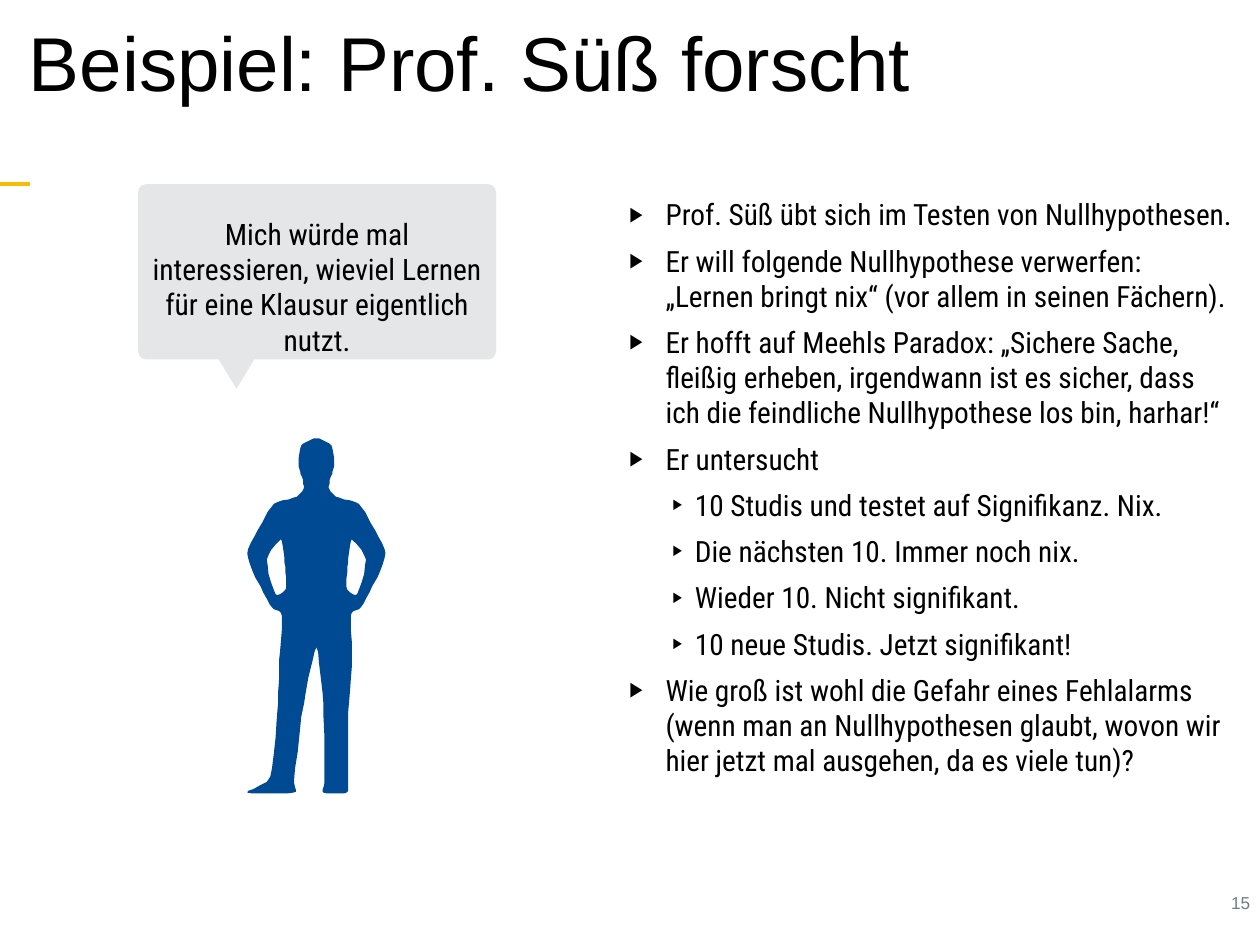
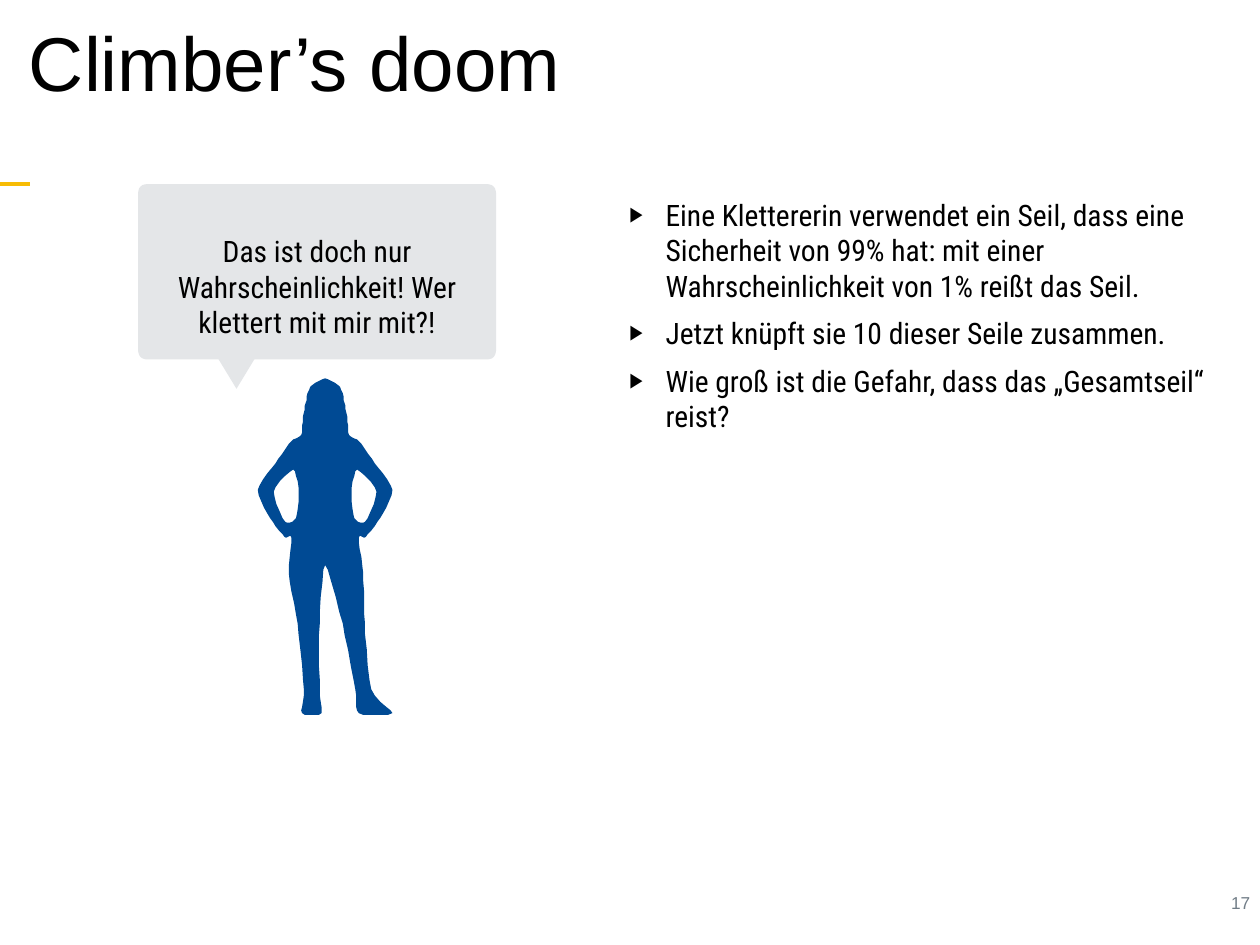
import math
from lxml import etree
from pptx import Presentation
from pptx import util as u
from pptx.dml.color import RGBColor
from pptx.enum import shapes, text
from pptx.oxml import ns

Cm, Pt = u.Cm, u.Pt
COLORS = {"ink": "000000", "accent": "F7BC05", "bubble": "E4E6E8",
          "figure": "004A94", "number": "717D87"}
TITLE_FONT, BODY_FONT = "Arial", "Roboto Condensed"
TITLE_BOX = (0, -0.05, 36.14, 3.94)
NUMBER_BOX = (30, 25.4, 6.02, 0.91)
BODY_BOX = (17.32, 5.28, 18.4, 17.63)
BUBBLE_BOX = (3.96, 5.28, 10.26, 5.87)
LEVELS = [{"left": 1.4, "hang": 1.04, "bullet": 70},
          {"left": 2.24, "hang": 0.64, "bullet": 50}]

FIGURE_UNIT = Cm(2.54) / 100
MAN = {
    "lean": -9, "toes": {-1: 69, 1: 43}, "crown": 0, "crotch": 236, "sole": 404,
    "side": {"temple": (17, 8), "ear": (20, 30), "jaw": (17, 42),
             "neck": (14, 56), "collar": (22, 66), "shoulder": (48, 74),
             "upper arm": (64, 100), "elbow": (78, 130), "forearm": (66, 162),
             "hand": (50, 191), "hip": (39, 200), "thigh": (41, 250),
             "knee": (40, 308), "ankle": (44, 382)},
    "inseam": {"instep": (17, 400), "inner ankle": (17, 384),
               "inner knee": (11, 300)},
    "arm gap": {"armpit": (40, 114), "ribs": (36, 140), "waist": (34, 168),
                "palm": (46, 176), "inner elbow": (56, 137)}}
WOMAN = {
    "lean": 17, "toes": {-1: 43, 1: 59}, "crown": 0, "crotch": 211, "sole": 382,
    "side": {"temple": (17, 10), "cheek": (22, 28), "hair": (25, 46),
             "hair tip": (27, 64), "shoulder": (38, 71), "upper arm": (56, 96),
             "elbow": (76, 126), "forearm": (62, 158), "hand": (46, 179),
             "hip": (38, 180), "thigh": (42, 220), "knee": (38, 277),
             "ankle": (38, 351)},
    "inseam": {"instep": (21, 378), "inner ankle": (20, 351),
               "inner knee": (13, 277)},
    "arm gap": {"armpit": (36, 103), "ribs": (30, 128), "waist": (33, 158),
                "palm": (45, 162), "inner elbow": (58, 128)}}

SLIDES = [
    {"title": "Beispiel: Prof. Süß forscht", "number": "15",
     "figure": MAN, "head": (9.07, 12.57),
     "speech": "Mich würde mal interessieren, wieviel Lernen für eine Klausur "
               "eigentlich nutzt.",
     "size": 23.8, "gap": 9,
     "points": [
         (0, "Prof. Süß übt sich im Testen von Nullhypothesen."),
         (0, "Er will folgende Nullhypothese verwerfen: „Lernen bringt nix“ "
             "(vor allem in seinen Fächern)."),
         (0, "Er hofft auf Meehls Paradox: „Sichere Sache, fleißig erheben, "
             "irgendwann ist es sicher, dass ich die feindliche Nullhypothese "
             "los bin, harhar!“"),
         (0, "Er untersucht"),
         (1, "10 Studis und testet auf Signifikanz. Nix."),
         (1, "Die nächsten 10. Immer noch nix."),
         (1, "Wieder 10. Nicht signifikant."),
         (1, "10 neue Studis. Jetzt signifikant!"),
         (0, "Wie groß ist wohl die Gefahr eines Fehlalarms (wenn man an "
             "Nullhypothesen glaubt, wovon wir hier jetzt mal ausgehen, da es "
             "viele tun)?")]},
    {"title": "Climber’s doom", "number": "17",
     "figure": WOMAN, "head": (9.32, 10.85),
     "speech": "Das ist doch nur Wahrscheinlichkeit! Wer klettert mit mir mit?!",
     "size": 24, "gap": 10,
     "points": [
         (0, "Eine Klettererin verwendet ein Seil, dass eine Sicherheit von 99% "
             "hat: mit einer Wahrscheinlichkeit von 1% reißt das Seil."),
         (0, "Jetzt knüpft sie 10 dieser Seile zusammen."),
         (0, "Wie groß ist die Gefahr, dass das „Gesamtseil“ reist?")]},
]


def rgb(name):
    """Return the named colour."""
    return RGBColor.from_string(COLORS[name])


def assign(target, values):
    """Set every attribute in the dict on the target."""
    for key, value in values.items():
        setattr(target, key, value)


def prepare_frame(frame, inset, anchor):
    """Give a text frame equal insets, wrapping and an anchor."""
    assign(frame, {f"margin_{side}": Cm(inset)
                   for side in ("left", "top", "right", "bottom")})
    assign(frame, {"word_wrap": True, "vertical_anchor": anchor})


def add_frame(slide, box, inset, anchor=text.MSO_ANCHOR.TOP):
    """Add a text box and return its frame."""
    frame = slide.shapes.add_textbox(*map(Cm, box)).text_frame
    prepare_frame(frame, inset, anchor)
    return frame


def write(paragraph, words, size, font=BODY_FONT, color="ink", **layout):
    """Write one formatted run into a paragraph."""
    run = paragraph.add_run()
    run.text = words
    assign(run.font, {"size": Pt(size), "name": font})
    run.font.color.rgb = rgb(color)
    assign(paragraph, layout)


def indent(paragraph, left, first):
    """Set the left margin and first-line indent."""
    properties = paragraph._p.get_or_add_pPr()
    properties.set("marL", str(Cm(left)))
    properties.set("indent", str(Cm(first)))
    return properties


def add_outline(slide, spot, contours, unit, color):
    """Draw filled closed contours around the given spot."""
    first, *gaps = contours
    builder = slide.shapes.build_freeform(*first[0], scale=float(unit))
    builder.add_line_segments(first[1:], close=True)
    for gap in gaps:
        builder.move_to(*gap[0])
        builder.add_line_segments(gap[1:], close=True)
    outline = builder.convert_to_shape(*map(Cm, spot))
    outline.shadow.inherit = False
    outline.fill.solid()
    outline.fill.fore_color.rgb = rgb(color)
    outline.line.fill.background()
    return outline


def smooth(corners, steps=5, tension=0.35):
    """Return a closed cardinal spline through the corners."""
    curve = []
    for index, start in enumerate(corners):
        before = corners[index - 1]
        end, after = (corners[(index + ahead) % len(corners)] for ahead in (1, 2))
        for step in range(steps):
            t = step / steps
            ease = t * t * (3 - 2 * t)
            leave, arrive = t * (1 - t) ** 2, t * t * (t - 1)
            curve.append(tuple(
                a + (b - a) * ease
                + tension * (leave * (b - p) + arrive * (n - a))
                for p, a, b, n in zip(before, start, end, after)))
    return curve


def add_figure(slide, head, body):
    """Draw a standing figure by mirroring its half profile about the axis."""
    crotch, sole = body["crotch"], body["sole"]

    def place(side, landmarks):
        """Mirror landmarks to one side and let the legs lean."""
        return [(side * x + body["lean"] * max(0, y - crotch) / (sole - crotch), y)
                for x, y in landmarks]

    halves = {side: place(side, [*body["side"].values(),
                                 (body["toes"][side], sole - 4),
                                 *body["inseam"].values()])
              for side in (1, -1)}
    profile = [(0, body["crown"]), *halves[1], (0, crotch), *reversed(halves[-1])]
    gaps = [place(side, body["arm gap"].values()) for side in (1, -1)]
    add_outline(slide, head, [smooth(corners) for corners in (profile, *gaps)],
                FIGURE_UNIT, "figure")


def add_title(slide, box, words):
    """Add the slide title."""
    line = add_frame(slide, box, 0.13, text.MSO_ANCHOR.MIDDLE).paragraphs[0]
    write(line, words, 62, TITLE_FONT, line_spacing=0.9)
    indent(line, 0.35, 0.35)


def add_furniture(slide, number):
    """Add the accent dash and the page number."""
    dash = slide.shapes.add_connector(
        shapes.MSO_CONNECTOR.STRAIGHT, 0, Cm(5.28), Cm(0.86), Cm(5.28))
    dash.line.width = Pt(3)
    dash.line.color.rgb = rgb("accent")
    etree.SubElement(dash._element.spPr, ns.qn("a:effectLst"))
    write(add_frame(slide, NUMBER_BOX, 0.18).paragraphs[0], number, 14,
          TITLE_FONT, "number", alignment=text.PP_ALIGN.RIGHT)


def add_points(slide, box, points, size, gap):
    """Add the bulleted list on two levels."""
    frame = add_frame(slide, box, 0.36)
    for index, (level, words) in enumerate(points):
        point = frame.add_paragraph() if index else frame.paragraphs[0]
        write(point, words, size, level=level, space_before=Pt(gap))
        look = LEVELS[level]
        properties = indent(point, look["left"], -look["hang"])
        tint = etree.SubElement(properties, ns.qn("a:buClr"))
        for parent, tag, key, value in (
                (tint, "a:srgbClr", "val", COLORS["ink"]),
                (properties, "a:buSzPct", "val", str(look["bullet"] * 1000)),
                (properties, "a:buFont", "typeface", BODY_FONT),
                (properties, "a:buChar", "char", "▶︎")):
            etree.SubElement(parent, ns.qn(tag)).set(key, value)


def add_bubble(slide, box, words):
    """Add the rounded speech bubble with its tail."""
    left, top, width, height = box
    radius, tail_height, tail_x, tail_half = 0.25, 0.84, 2.82, 0.51
    floor = height - tail_height
    corners = ((radius, radius, 180), (width - radius, radius, 270),
               (width - radius, floor - radius, 0), (radius, floor - radius, 90))
    rim = []
    for x, y, start in corners:
        if start == 90:
            rim += [(tail_x + tail_half, floor), (tail_x, height),
                    (tail_x - tail_half, floor)]
        for step in range(0, 91, 15):
            angle = math.radians(start + step)
            rim.append((x + radius * math.cos(angle), y + radius * math.sin(angle)))
    contour = [(round(x * 100), round(y * 100)) for x, y in rim]
    bubble = add_outline(slide, (left, top), [contour], Cm(0.01), "bubble")
    prepare_frame(bubble.text_frame, 0.18, text.MSO_ANCHOR.MIDDLE)
    write(bubble.text_frame.paragraphs[0], words, 24,
          alignment=text.PP_ALIGN.CENTER)


def add_scene(deck, scene):
    """Build one slide with a speaking figure and a list."""
    slide = deck.slides.add_slide(deck.slide_layouts[6])
    add_furniture(slide, scene["number"])
    add_title(slide, TITLE_BOX, scene["title"])
    add_points(slide, BODY_BOX, scene["points"], scene["size"], scene["gap"])
    add_figure(slide, scene["head"], scene["figure"])
    add_bubble(slide, BUBBLE_BOX, scene["speech"])


def main():
    """Build and save the deck."""
    deck = Presentation()
    assign(deck, {"slide_width": Cm(36.12), "slide_height": Cm(27.1)})
    for scene in SLIDES:
        add_scene(deck, scene)
    deck.save("out.pptx")


if __name__ == "__main__":
    main()
